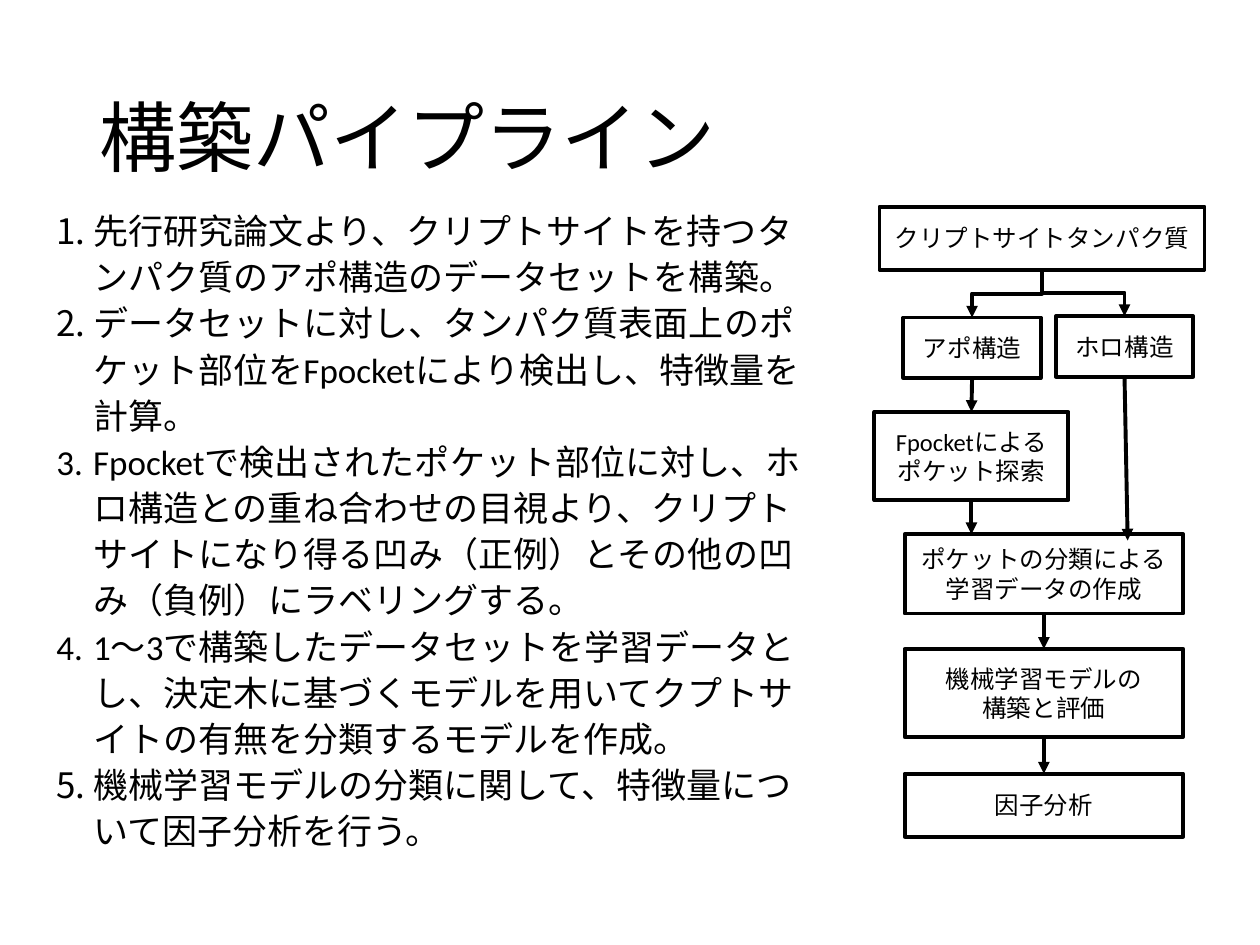
from dataclasses import dataclass

from lxml.etree import SubElement
from pptx import Presentation
from pptx.dml.color import RGBColor
from pptx.enum.shapes import MSO_CONNECTOR, MSO_SHAPE
from pptx.enum.text import MSO_ANCHOR, PP_ALIGN
from pptx.oxml.ns import qn
from pptx.util import Inches, Pt


@dataclass(frozen=True)
class Theme:
    ink: RGBColor = RGBColor(0, 0, 0)
    font: str = "Calibri"
    title: Pt = Pt(44)
    body: Pt = Pt(20)
    label: Pt = Pt(14)
    line: Pt = Pt(2.25)


THEME = Theme()
TOP, BOTTOM = 0, 2

STEPS = [
    "先行研究論文より、クリプトサイトを持つタンパク質のアポ構造のデータセットを構築。",
    "データセットに対し、タンパク質表面上のポケット部位をFpocketにより検出し、特徴量を計算。",
    "Fpocketで検出されたポケット部位に対し、ホロ構造との重ね合わせの目視より、"
    "クリプトサイトになり得る凹み（正例）とその他の凹み（負例）にラベリングする。",
    "1～3で構築したデータセットを学習データとし、決定木に基づくモデルを用いて"
    "クプトサイトの有無を分類するモデルを作成。",
    "機械学習モデルの分類に関して、特徴量について因子分析を行う。",
]

# name: (text, left, top, width, height)
STAGES = {
    "protein": ("クリプトサイトタンパク質", 6.98, 1.64, 2.58, 0.5),
    "pocket": ("Fpocketによる\nポケット探索", 6.94, 3.27, 1.54, 0.7),
    "labelling": ("ポケットの分類による学習データの作成", 7.18, 4.24, 2.21, 0.63),
    "apo": ("アポ構造", 7.17, 2.52, 1.09, 0.48),
    "holo": ("ホロ構造", 8.38, 2.51, 1.09, 0.48),
    "model": ("機械学習モデルの\n構築と評価", 7.18, 5.15, 2.21, 0.7),
    "factors": ("因子分析", 7.18, 6.14, 2.21, 0.5),
}


def style_paragraph(para, size, align=PP_ALIGN.LEFT, spacing=None):
    para.alignment = align
    if spacing:
        para.line_spacing = spacing
    para.font.size = size
    para.font.name = THEME.font
    para.font.color.rgb = THEME.ink


def set_title(slide, text):
    title = slide.shapes.title
    title.left, title.top = Inches(0.69), Inches(0.4)
    title.width, title.height = Inches(8.62), Inches(1.45)
    title.text_frame.text = text
    title.text_frame.vertical_anchor = MSO_ANCHOR.MIDDLE
    style_paragraph(title.text_frame.paragraphs[0], THEME.title, spacing=0.9)


def add_numbered_list(slide, items, left, top, width, height):
    box = slide.shapes.add_textbox(Inches(left), Inches(top), Inches(width), Inches(height))
    frame = box.text_frame
    frame.word_wrap = True
    frame.text = "\n".join(items)
    for para in frame.paragraphs:
        properties = para._p.get_or_add_pPr()
        properties.set("marL", str(Inches(0.29)))
        properties.set("indent", str(-Inches(0.29)))
        SubElement(properties, qn("a:buFont"), typeface="+mj-lt")
        SubElement(properties, qn("a:buAutoNum"), type="arabicPeriod")
        style_paragraph(para, THEME.body, spacing=1.1)


def add_stage(slide, text, left, top, width, height):
    box = slide.shapes.add_shape(
        MSO_SHAPE.RECTANGLE, Inches(left), Inches(top), Inches(width), Inches(height))
    box.shadow.inherit = False
    box.fill.background()
    box.line.color.rgb = THEME.ink
    box.line.width = THEME.line
    frame = box.text_frame
    frame.word_wrap = True
    frame.vertical_anchor = MSO_ANCHOR.MIDDLE
    frame.text = text
    for para in frame.paragraphs:
        style_paragraph(para, THEME.label, PP_ALIGN.CENTER)
    return box


def add_arrow(slide, source, target=None, end=(0, 0), kind=MSO_CONNECTOR.STRAIGHT):
    """Run from the bottom of source to the top of target, or to a free end point."""
    arrow = slide.shapes.add_connector(kind, 0, 0, Inches(end[0]), Inches(end[1]))
    arrow.begin_connect(source, BOTTOM)
    if target is not None:
        arrow.end_connect(target, TOP)
    arrow.line.color.rgb = THEME.ink
    arrow.line.width = THEME.line
    SubElement(arrow.line._get_or_add_ln(), qn("a:tailEnd"), type="triangle")
    SubElement(arrow._element.spPr, qn("a:effectLst"))
    return arrow


def add_branch(slide, source, target):
    """Add an elbow arrow, turned so that it leaves and arrives vertically."""
    arrow = add_arrow(slide, source, target, kind=MSO_CONNECTOR.ELBOW)
    to_right = arrow.end_x > arrow.begin_x
    middle_x = (arrow.begin_x + arrow.end_x) // 2
    middle_y = (arrow.begin_y + arrow.end_y) // 2
    length, spread = arrow.height, arrow.width
    arrow.width, arrow.height = length, spread
    arrow.left, arrow.top = middle_x - length // 2, middle_y - spread // 2
    frame = arrow._element.spPr.find(qn("a:xfrm"))
    frame.set("rot", str((270 if to_right else 90) * 60000))
    frame.set("flipH", "1" if to_right else "0")
    frame.set("flipV", "0")


def main():
    deck = Presentation()
    deck.slide_width, deck.slide_height = Inches(10), Inches(7.5)
    slide = deck.slides.add_slide(deck.slide_layouts[5])

    set_title(slide, "構築パイプライン")
    add_numbered_list(slide, STEPS, 0.35, 1.58, 6.26, 5.25)

    boxes = {name: add_stage(slide, *stage) for name, stage in STAGES.items()}
    for source, target in [("labelling", "model"), ("model", "factors"), ("apo", "pocket")]:
        add_arrow(slide, boxes[source], boxes[target])
    add_arrow(slide, boxes["pocket"], end=(7.71, 4.24))
    add_arrow(slide, boxes["holo"], end=(8.95, 4.29))
    for structure in ("apo", "holo"):
        add_branch(slide, boxes["protein"], boxes[structure])

    deck.save("out.pptx")


if __name__ == "__main__":
    main()
